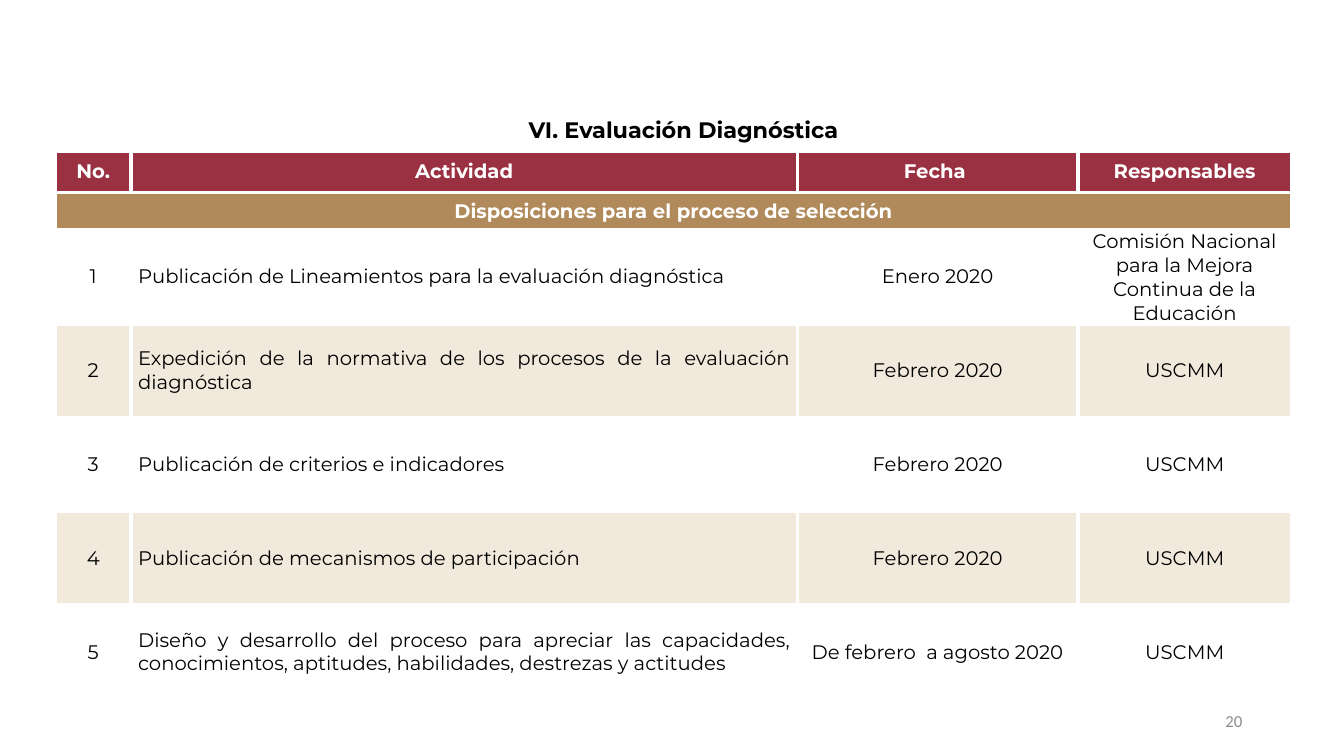
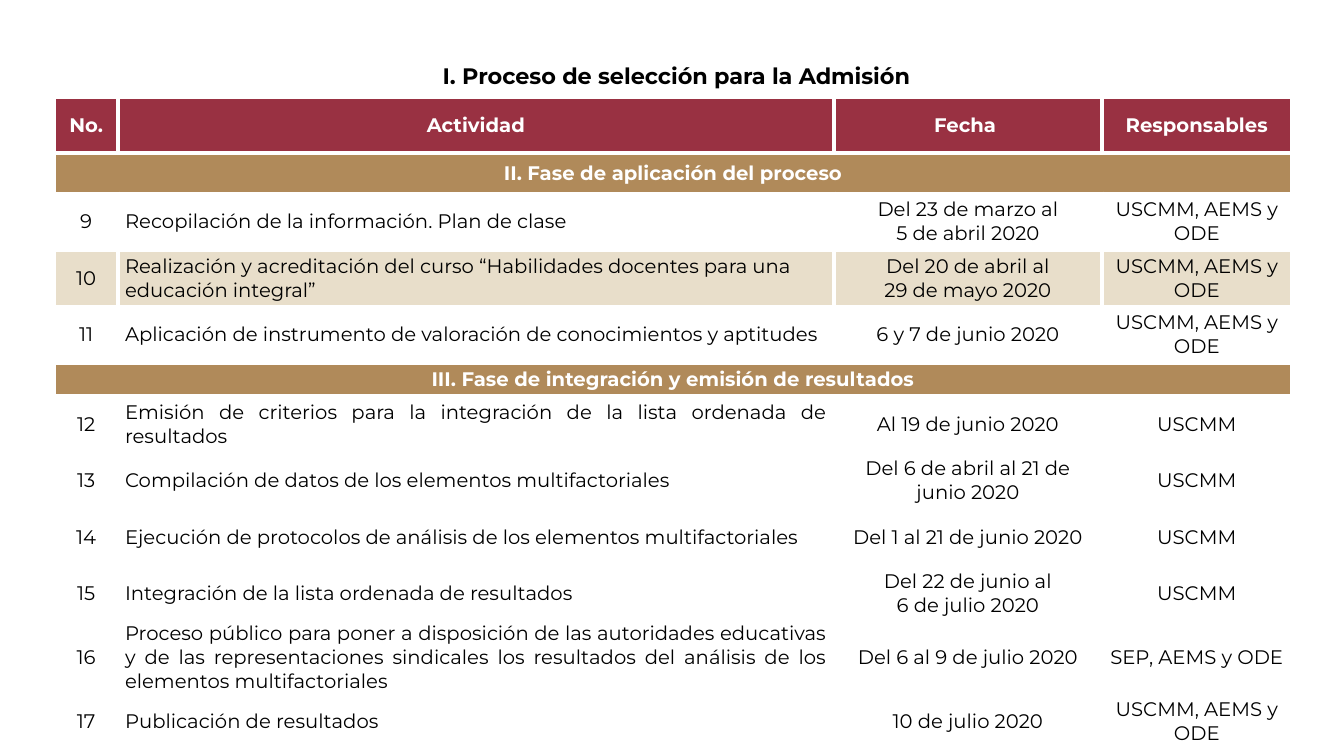
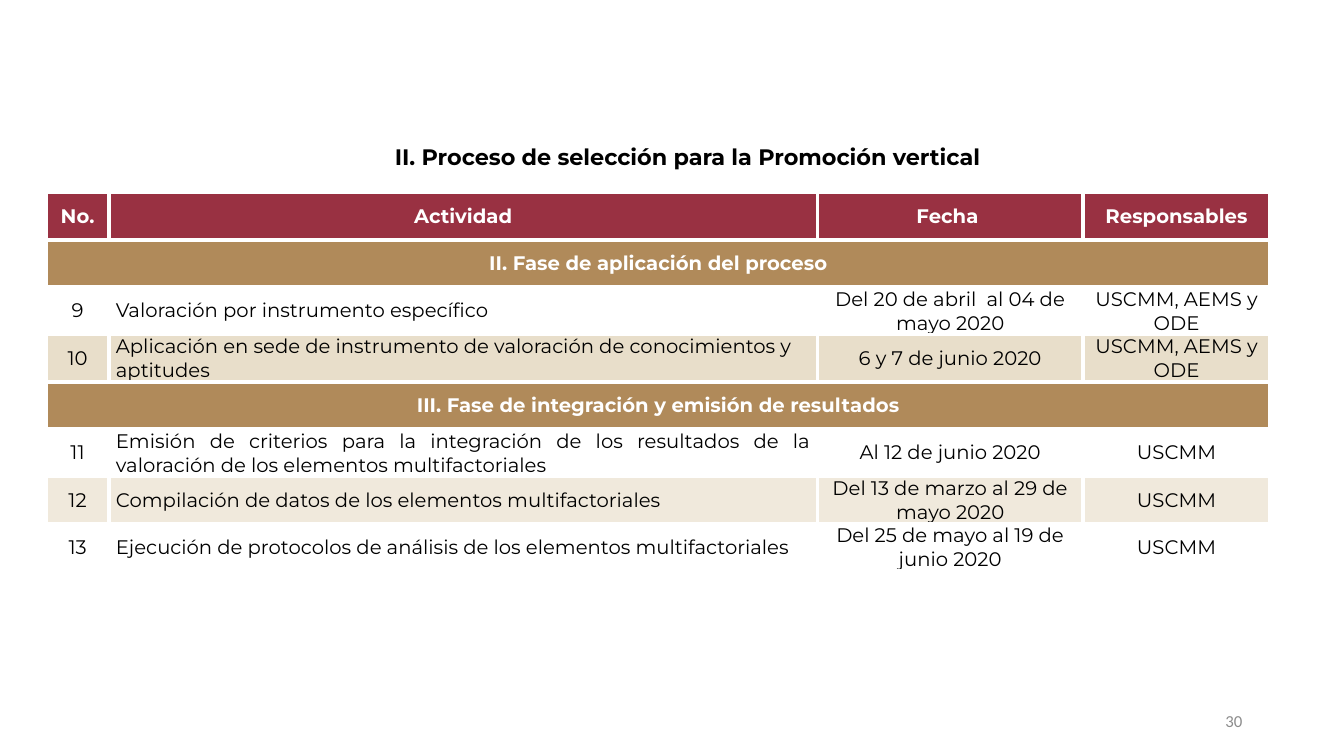
"""Build three schedule slides, each with a title and a table of activities."""
from lxml import etree
from pptx import Presentation
from pptx import util as u
from pptx.dml import color
from pptx.enum import text
from pptx.oxml import ns

WINE, GOLD, SAND, CREAM = "993142", "B08A5A", "E8DECA", "F0E9DC"
WHITE, BLACK, GREY = "FFFFFF", "000000", "8C8C8C"
LEFT, CENTER, RIGHT, JUSTIFY = (
    text.PP_ALIGN.LEFT, text.PP_ALIGN.CENTER, text.PP_ALIGN.RIGHT, text.PP_ALIGN.JUSTIFY)

TITLE_FONT = {"name": "Montserrat", "size": u.Pt(16), "bold": True}
HEAD_FONT = {"name": "Montserrat", "size": u.Pt(14), "bold": True}
BODY_FONT = {**HEAD_FONT, "bold": False}
NUMBER_FONT = {"name": "Calibri", "size": u.Pt(12), "bold": False}
CELL_FORMAT = {
    "margin_left": u.Inches(0.07), "margin_right": u.Inches(0.07),
    "margin_top": 0, "margin_bottom": 0, "vertical_anchor": text.MSO_ANCHOR.MIDDLE}
NUMBER_PLACE = (9.42, 6.95, 3, 0.4)

HEADER = ("No.", "Actividad", "Fecha ", "Responsables")
UNIT = "USCMM"
ALL_UNITS = "USCMM, AEMS y ODE"
APPLICATION = "II. Fase de aplicación del proceso"
RESULTS = "III. Fase de integración y emisión de resultados"

SLIDES = [
    {
        "title": "VI. Evaluación Diagnóstica",
        "title_place": (0.55, 1.1, 12.46, 0.37),
        "number": "20",
        "corner": (0.55, 1.5),
        "columns": (0.75, 6.61, 2.78, 2.12),
        "heights": [0.41, 0.37] + [0.93] * 5,
        "tints": {"2": CREAM, "4": CREAM},
        "sections": [
            ("Disposiciones para el proceso de selección", JUSTIFY, [
                ("1", "Publicación de Lineamientos para la evaluación diagnóstica", "Enero 2020",
                 "Comisión Nacional para la Mejora Continua de la Educación"),
                ("2", "Expedición de la normativa de los procesos de la evaluación diagnóstica",
                 "Febrero 2020", UNIT),
                ("3", "Publicación de criterios e indicadores", "Febrero 2020", UNIT),
                ("4", "Publicación de mecanismos de participación", "Febrero 2020", UNIT),
                ("5", "Diseño y desarrollo del proceso para apreciar las capacidades, "
                 "conocimientos, aptitudes, habilidades, destrezas y actitudes",
                 "De febrero  a agosto 2020", UNIT),
            ]),
        ],
    },
    {
        "title": "I. Proceso de selección para la Admisión",
        "title_place": (4.25, 0.57, 4.92, 0.37),
        "number": None,
        "corner": (0.54, 0.96),
        "columns": (0.63, 7.1, 2.66, 1.88),
        "heights": [0.56, 0.4] + [0.56] * 3 + [0.33] + [0.56] * 6,
        "tints": {"10": SAND},
        "sections": [
            (APPLICATION, LEFT, [
                ("9", "Recopilación de la información. Plan de clase",
                 "Del 23 de marzo al\n5 de abril 2020", ALL_UNITS),
                ("10", "Realización y acreditación del curso “Habilidades docentes para una "
                 "educación integral”", "Del 20 de abril al\n29 de mayo 2020", ALL_UNITS),
                ("11", "Aplicación de instrumento de valoración de conocimientos y aptitudes",
                 "6 y 7 de junio 2020", ALL_UNITS),
            ]),
            (RESULTS, JUSTIFY, [
                ("12", "Emisión de criterios para la integración de la lista ordenada de "
                 "resultados", "Al 19 de junio 2020", UNIT),
                ("13", "Compilación de datos de los elementos multifactoriales",
                 "Del 6 de abril al 21 de junio 2020", UNIT),
                ("14", "Ejecución de protocolos de análisis de los elementos multifactoriales",
                 "Del 1 al 21 de junio 2020", UNIT),
                ("15", "Integración de la lista ordenada de resultados",
                 "Del 22 de junio al\n6 de julio 2020", UNIT),
                ("16", "Proceso público para poner a disposición de las autoridades educativas "
                 "y de las representaciones sindicales los resultados del análisis de los "
                 "elementos multifactoriales", "Del 6 al 9 de julio 2020", "SEP, AEMS y ODE"),
                ("17", "Publicación de resultados", "10 de julio 2020", ALL_UNITS),
            ]),
        ],
    },
    {
        "title": "II. Proceso de selección para la Promoción vertical",
        "title_place": (3.76, 1.37, 6.12, 0.37),
        "number": "30",
        "corner": (0.46, 1.91),
        "columns": (0.62, 7.03, 2.63, 1.86),
        "heights": [0.47] * 8,
        "tints": {"10": SAND, "12": CREAM},
        "sections": [
            (APPLICATION, LEFT, [
                ("9", "Valoración por instrumento específico",
                 "Del 20 de abril  al 04 de mayo 2020", ALL_UNITS),
                ("10", "Aplicación en sede de instrumento de valoración de conocimientos y "
                 "aptitudes", "6 y 7 de junio 2020", ALL_UNITS),
            ]),
            (RESULTS, JUSTIFY, [
                ("11", "Emisión de criterios para la integración de los resultados de la "
                 "valoración de los elementos multifactoriales", "Al 12 de junio 2020", UNIT),
                ("12", "Compilación de datos de los elementos multifactoriales",
                 "Del 13 de marzo al 29 de mayo 2020", UNIT),
                ("13", "Ejecución de protocolos de análisis de los elementos multifactoriales",
                 "Del 25 de mayo al 19 de junio 2020", UNIT),
            ]),
        ],
    },
]


def rgb(code):
    return color.RGBColor.from_string(code)


def apply(target, values):
    for name, value in values.items():
        setattr(target, name, value)


def write(frame, words, font, ink, align):
    frame.text = words
    for para in frame.paragraphs:
        para.alignment = align
        for span in para.runs:
            apply(span.font, font)
            span.font.color.rgb = rgb(ink)


def add_borders(cell):
    properties = cell._tc.get_or_add_tcPr()
    for side in ("a:lnL", "a:lnR", "a:lnT", "a:lnB"):
        line = etree.SubElement(properties, ns.qn(side), w=str(u.Pt(3)))
        paint = etree.SubElement(line, ns.qn("a:solidFill"))
        etree.SubElement(paint, ns.qn("a:srgbClr"), val=WHITE)


def fill_row(cells, values, tint, font, ink, aligns):
    for cell, words, align in zip(cells, values, aligns):
        apply(cell, CELL_FORMAT)
        add_borders(cell)
        cell.fill.solid()
        cell.fill.fore_color.rgb = rgb(tint)
        if words:
            write(cell.text_frame, words, font, ink, align)


def add_title(page, words, place):
    box = page.shapes.title
    apply(box, dict(zip(("left", "top", "width", "height"), map(u.Inches, place))))
    apply(box.text_frame, {
        "word_wrap": False, "vertical_anchor": text.MSO_ANCHOR.TOP,
        "auto_size": text.MSO_AUTO_SIZE.NONE})
    write(box.text_frame, words, TITLE_FONT, BLACK, CENTER)


def add_number(page, number):
    box = page.shapes.add_textbox(*map(u.Inches, NUMBER_PLACE))
    apply(box.text_frame, {"word_wrap": True, "vertical_anchor": text.MSO_ANCHOR.MIDDLE})
    write(box.text_frame, number, NUMBER_FONT, GREY, RIGHT)


def add_schedule(page, content):
    columns, heights = content["columns"], content["heights"]
    place = (*content["corner"], sum(columns), sum(heights))
    table = page.shapes.add_table(len(heights), len(columns), *map(u.Inches, place)).table
    apply(table, {"first_row": False, "horz_banding": False})
    for column, width in zip(table.columns, columns):
        column.width = u.Inches(width)
    for row, height in zip(table.rows, heights):
        row.height = u.Inches(height)

    rows = iter(table.rows)
    centered = [CENTER] * len(columns)
    fill_row(next(rows).cells, HEADER, WINE, HEAD_FONT, WHITE, centered)
    for heading, align, activities in content["sections"]:
        cells = list(next(rows).cells)
        cells[0].merge(cells[-1])
        fill_row(cells, (heading, "", "", ""), GOLD, HEAD_FONT, WHITE, centered)
        for activity in activities:
            tint = content["tints"].get(activity[0], WHITE)
            fill_row(next(rows).cells, activity, tint, BODY_FONT, BLACK,
                     (CENTER, align, CENTER, CENTER))


deck = Presentation()
apply(deck, {"slide_width": u.Inches(13.33), "slide_height": u.Inches(7.5)})
for content in SLIDES:
    page = deck.slides.add_slide(deck.slide_layouts.get_by_name("Title Only"))
    if content["number"]:
        add_number(page, content["number"])
    add_schedule(page, content)
    add_title(page, content["title"], content["title_place"])
deck.save("out.pptx")
